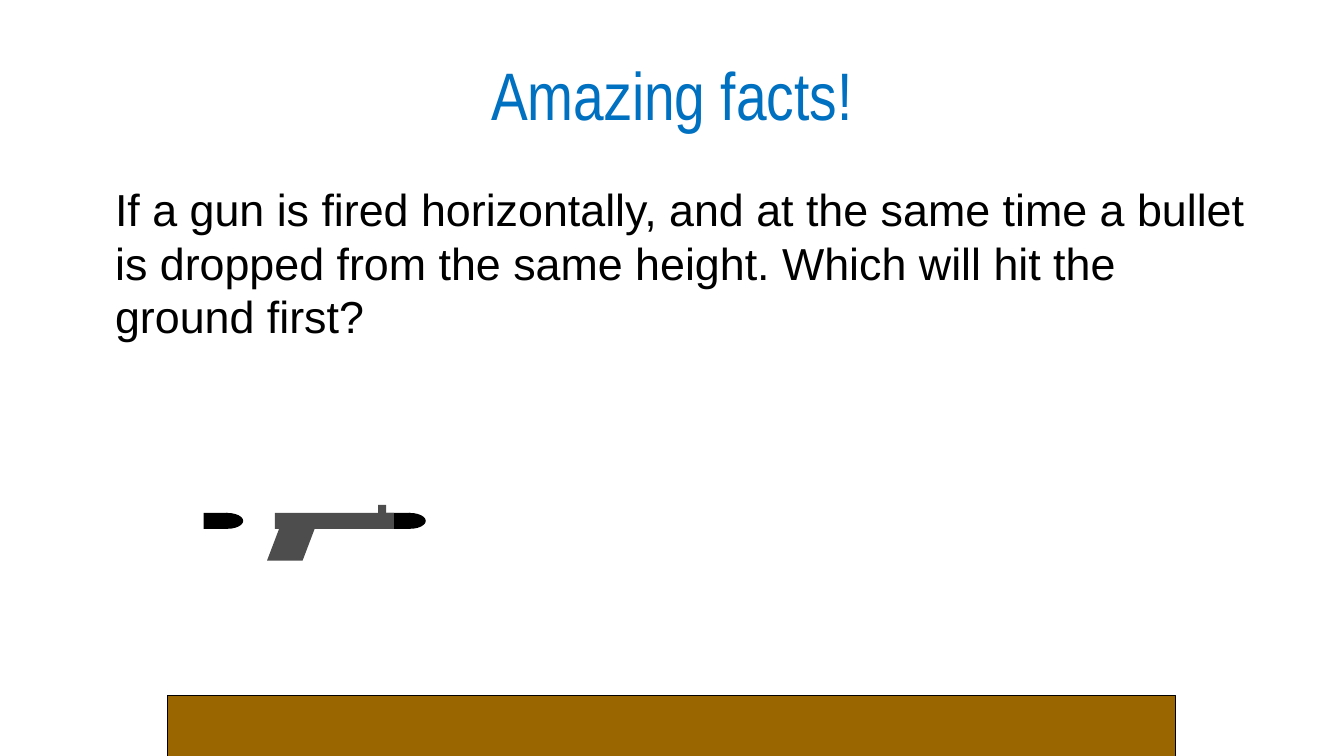
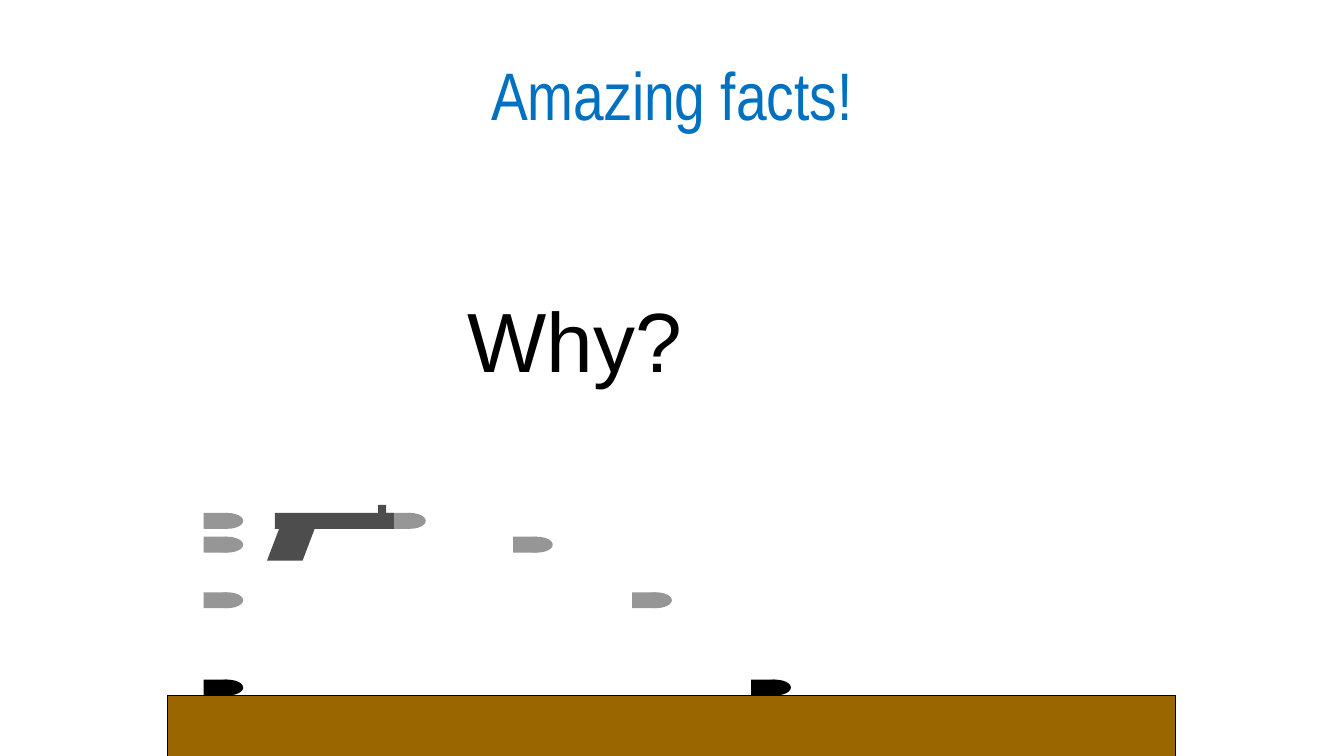
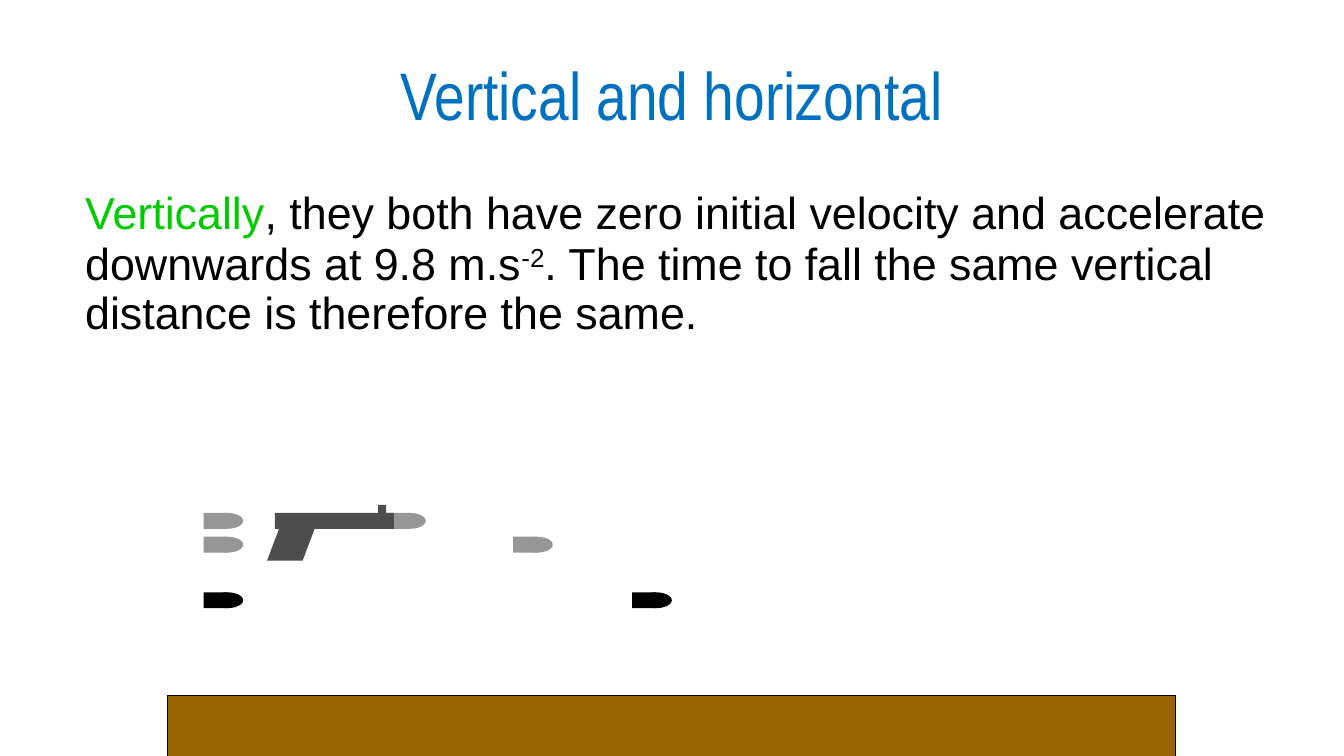
from pptx import Presentation
from pptx.dml.color import RGBColor
from pptx.enum.shapes import MSO_SHAPE as Shape
from pptx.enum.text import MSO_ANCHOR as Anchor, MSO_AUTO_SIZE as AutoSize, PP_ALIGN as Align
from pptx.util import Pt

BLACK, GREY, GUN, SOIL = "000000", "969696", "4D4D4D", "996600"
BLUE, GREEN = "0070C0", "00CC00"

# The drawing sits on a grid: one unit in points, origin at the dropped bullet.
UNIT, LEFT, TOP = 5.67, 145.4, 366.4
GROUND_ROW = 23
# Each moment: column of the fired bullet, row of both bullets.
MOMENTS = [(23, 0), (39, 3), (54, 10), (69, 21)]

# Runs: text, size, colour, raised by percent
PAGES = [
    {"title": "Amazing facts!", "moments": 1,
     "body": {"box": (48, 126, 864, 356.4), "line": 1, "runs": [
         ("\tIf a gun is fired horizontally, and at the same time a bullet is dropped "
          "from the same height. Which will hit the ground first?", 32, BLACK, 0)]}},
    {"title": "Amazing facts!", "moments": 4, "question": "Why?"},
    {"title": "Vertical and horizontal", "moments": 3,
     "body": {"box": (26.6, 126, 913, 183.6), "line": 0.9, "runs": [
         ("\t", 40, BLACK, 0),
         ("Vertically", 32, GREEN, 0),
         (", they both have zero initial velocity and accelerate downwards at 9.8 m.s",
          32, BLACK, 0),
         ("-2", 32, BLACK, 30),
         (". The time to fall the same vertical distance is therefore the same.",
          32, BLACK, 0)]}},
]


def rgb(value):
    return RGBColor.from_string(value)


def place(shape, box):
    shape.left, shape.top, shape.width, shape.height = map(Pt, box)


def add_span(para, text, size, color, font="Arial", raised=0):
    span = para.add_run()
    span.text = text
    span.font.name, span.font.size = font, Pt(size)
    span.font.color.rgb = rgb(color)
    if raised:
        span.font._element.set("baseline", str(raised * 1000))


def add_part(shapes, kind, color, column, row, columns, rows):
    """Add a filled shape measured in grid units."""
    part = shapes.add_shape(kind, Pt(LEFT + column * UNIT), Pt(TOP + row * UNIT),
                            Pt(columns * UNIT), Pt(rows * UNIT))
    part.shadow.inherit = False
    part.fill.solid()
    part.fill.fore_color.rgb = rgb(color)
    part.line.fill.background()
    return part


def add_bullet(page, column, row, color):
    group = page.shapes.add_group_shape().shapes
    add_part(group, Shape.RECTANGLE, color, column, row, 3, 2)
    add_part(group, Shape.OVAL, color, column + 1, row, 4, 2)


def add_gun(page):
    group = page.shapes.add_group_shape().shapes
    grip = add_part(group, Shape.PARALLELOGRAM, GUN, 8, 2, 6, 4)
    grip.adjustments[0] = 0.38
    add_part(group, Shape.RECTANGLE, GUN, 9, 0, 15, 2)
    add_part(group, Shape.RECTANGLE, GUN, 22, -1, 1, 1)


def add_ground(page):
    ground = add_part(page.shapes, Shape.RECTANGLE, SOIL, 0, GROUND_ROW, 1, 10)
    ground.left, ground.width = Pt(120), Pt(720)
    ground.line.color.rgb = rgb(BLACK)
    ground.line.width = Pt(0.75)


def draw_scene(page, count):
    """Draw the gun, the ground and the first moments, the latest in black."""
    add_ground(page)
    for index, (column, row) in enumerate(MOMENTS[:count]):
        color = BLACK if index == count - 1 else GREY
        add_bullet(page, column, row, color)
        add_bullet(page, 0, row, color)
    add_gun(page)


def fill_title(page, text):
    title = page.shapes.title
    place(title, (48, 21.6, 864, 90))
    frame = title.text_frame
    frame.auto_size, frame.vertical_anchor = AutoSize.NONE, Anchor.MIDDLE
    para = frame.paragraphs[0]
    para.alignment = Align.CENTER
    add_span(para, text, 48, BLUE, "Arial Narrow")


def fill_body(page, body):
    holder = page.placeholders[1]
    place(holder, body["box"])
    holder.text_frame.auto_size = AutoSize.NONE
    para = holder.text_frame.paragraphs[0]
    para.line_spacing, para.space_before = body["line"], Pt(6.4)
    props = para._p.get_or_add_pPr()
    props.set("marL", str(Pt(27)))
    props.set("indent", str(Pt(-27)))
    props.makeelement  # keeps the element class of the paragraph properties
    for text, size, color, raised in body["runs"]:
        add_span(para, text, size, color, raised=raised)
    bullet = props.makeelement(
        "{http://schemas.openxmlformats.org/drawingml/2006/main}buNone", {})
    props.append(bullet)


def add_question(page, text):
    box = page.shapes.add_textbox(Pt(327), Pt(202.4), Pt(312), Pt(79))
    box.text_frame.word_wrap = True
    para = box.text_frame.paragraphs[0]
    para.space_before = Pt(5.5)
    add_span(para, text, 60, BLACK)


def main():
    deck = Presentation()
    deck.slide_width, deck.slide_height = Pt(960), Pt(540)
    with_body, title_only = deck.slide_layouts[1], deck.slide_layouts[5]
    for content in PAGES:
        page = deck.slides.add_slide(with_body if "body" in content else title_only)
        fill_title(page, content["title"])
        if "body" in content:
            fill_body(page, content["body"])
        draw_scene(page, content["moments"])
        if "question" in content:
            add_question(page, content["question"])
    deck.save("out.pptx")


if __name__ == "__main__":
    main()
